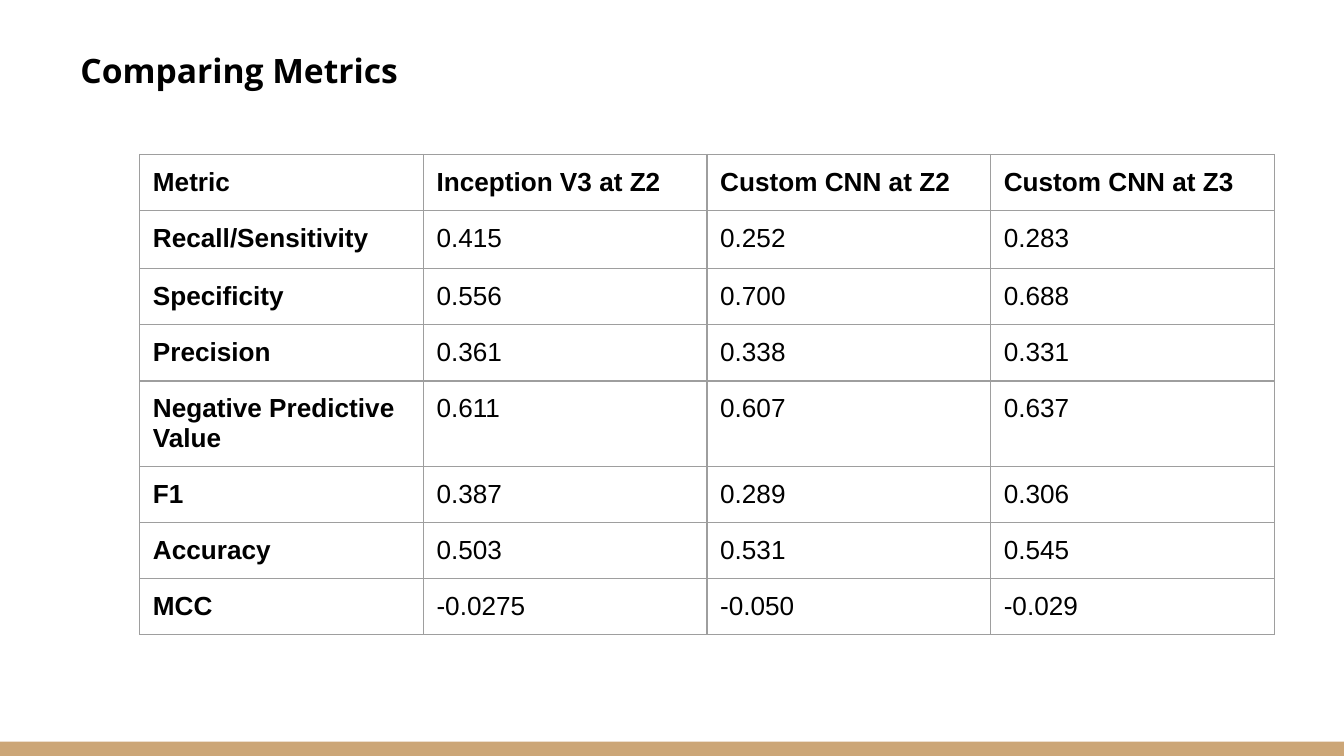
"""Build a slide with a table that compares the metrics of three classifiers."""
from dataclasses import dataclass

from lxml.etree import SubElement
from pptx import Presentation
from pptx.dml.color import RGBColor
from pptx.enum.shapes import MSO_SHAPE
from pptx.enum.text import MSO_ANCHOR, MSO_AUTO_SIZE, PP_ALIGN
from pptx.oxml.ns import qn
from pptx.slide import Slide
from pptx.table import _Cell
from pptx.text.text import TextFrame
from pptx.util import Cm, Pt

COLORS = {"text": "000000", "border": "9E9E9E", "band": "CCA677"}
INSET = Cm(0.25)
COL_W = Cm(5.36)
ROW_H = Cm(1.06)
TALL_ROW_H = Cm(1.1)


@dataclass
class Metric:
    name: str
    values: tuple[str, str, str]


HEADER = ("Metric", "Inception V3 at Z2", "Custom CNN at Z2", "Custom CNN at Z3")
METRICS = [
    Metric("Recall/Sensitivity", ("0.415", "0.252", "0.283")),
    Metric("Specificity", ("0.556", "0.700", "0.688")),
    Metric("Precision", ("0.361", "0.338", "0.331")),
    Metric("Negative Predictive Value", ("0.611", "0.607", "0.637")),
    Metric("F1", ("0.387", "0.289", "0.306")),
    Metric("Accuracy", ("0.503", "0.531", "0.545")),
    Metric("MCC", ("-0.0275", "-0.050", "-0.029")),
]


def set_text(tf: TextFrame, text: str, font: str, size: int, bold: bool) -> None:
    tf.text = text
    r = tf.paragraphs[0].runs[0]
    r.font.name = font
    r.font.size = Pt(size)
    r.font.bold = bold
    r.font.color.rgb = RGBColor.from_string(COLORS["text"])


def add_band(s: Slide) -> None:
    sp = s.shapes.add_shape(MSO_SHAPE.RECTANGLE, 0, Cm(14.02), Cm(25.4), Cm(0.27))
    sp.shadow.inherit = False
    sp.fill.solid()
    sp.fill.fore_color.rgb = RGBColor.from_string(COLORS["band"])
    sp.line.fill.background()


def add_title(s: Slide, text: str) -> None:
    sp = s.shapes.title
    sp.left, sp.top, sp.width, sp.height = 0, Cm(0.46), Cm(22.02), Cm(1.5)
    tf = sp.text_frame
    tf.auto_size = MSO_AUTO_SIZE.NONE
    tf.vertical_anchor = MSO_ANCHOR.BOTTOM
    tf.margin_left = tf.margin_right = tf.margin_top = tf.margin_bottom = INSET
    set_text(tf, text, "Open Sans", 18, True)
    p = tf.paragraphs[0]
    p.alignment = PP_ALIGN.LEFT
    pPr = p._p.get_or_add_pPr()
    pPr.set("marL", str(Cm(1.27)))
    pPr.set("indent", "0")


def format_cell(cell: _Cell, text: str, bold: bool) -> None:
    cell.margin_left = cell.margin_right = INSET
    cell.margin_top = cell.margin_bottom = INSET
    set_text(cell.text_frame, text, "Arial", 14, bold)
    tcPr = cell._tc.get_or_add_tcPr()
    for side in ("lnL", "lnR", "lnT", "lnB"):
        ln = SubElement(tcPr, qn(f"a:{side}"), w=str(Pt(0.75)))
        fill = SubElement(ln, qn("a:solidFill"))
        SubElement(fill, qn("a:srgbClr"), val=COLORS["border"])
    cell.fill.background()


def add_metrics_table(s: Slide, metrics: list[Metric]) -> None:
    rows = [HEADER] + [(m.name, *m.values) for m in metrics]
    table = s.shapes.add_table(
        len(rows), len(HEADER), Cm(2.64), Cm(2.92),
        COL_W * len(HEADER), ROW_H * len(rows),
    ).table
    table.first_row = table.horz_banding = False
    for col in table.columns:
        col.width = COL_W
    for i, row in enumerate(rows):
        table.rows[i].height = TALL_ROW_H if i == 1 else ROW_H
        for j, text in enumerate(row):
            format_cell(table.cell(i, j), text, bold=i == 0 or j == 0)


def main() -> None:
    prs = Presentation()
    prs.slide_width, prs.slide_height = Cm(25.4), Cm(14.29)
    s = prs.slides.add_slide(prs.slide_layouts[5])
    add_band(s)
    add_title(s, "Comparing Metrics")
    add_metrics_table(s, METRICS)
    prs.save("out.pptx")


if __name__ == "__main__":
    main()
